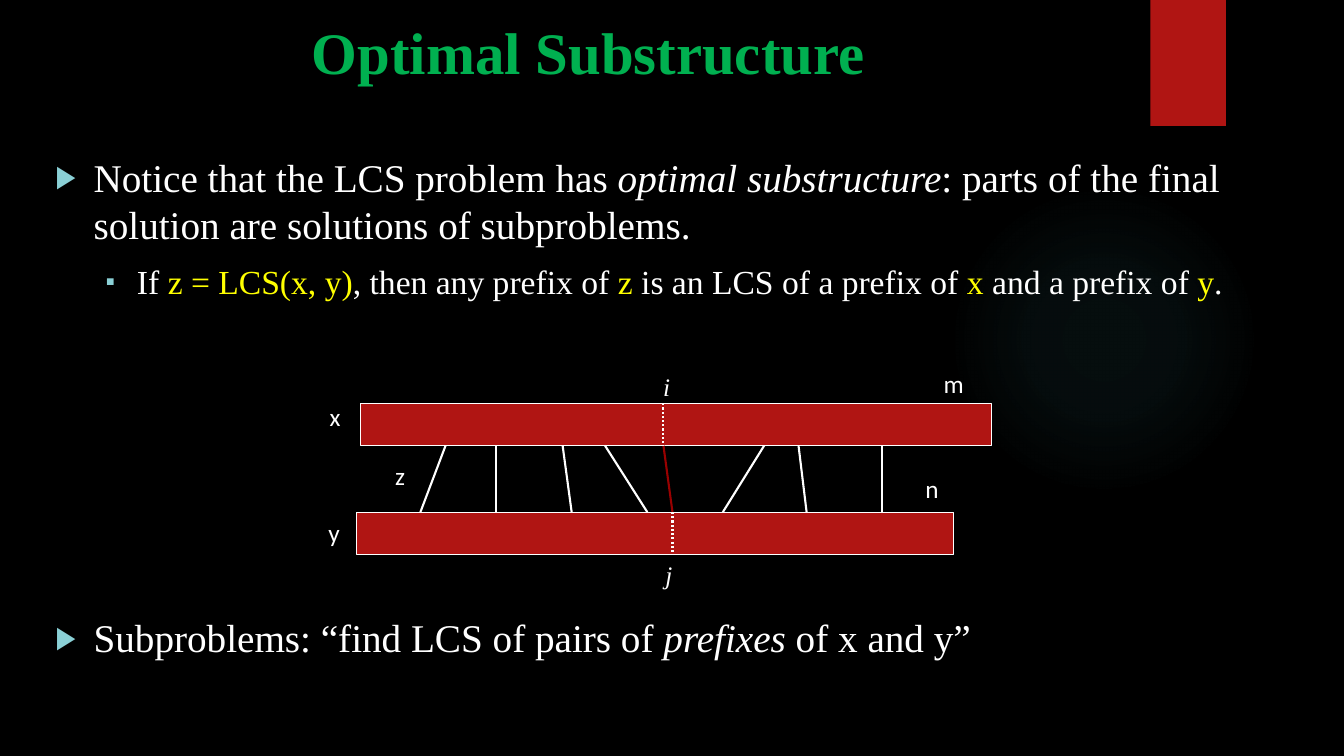
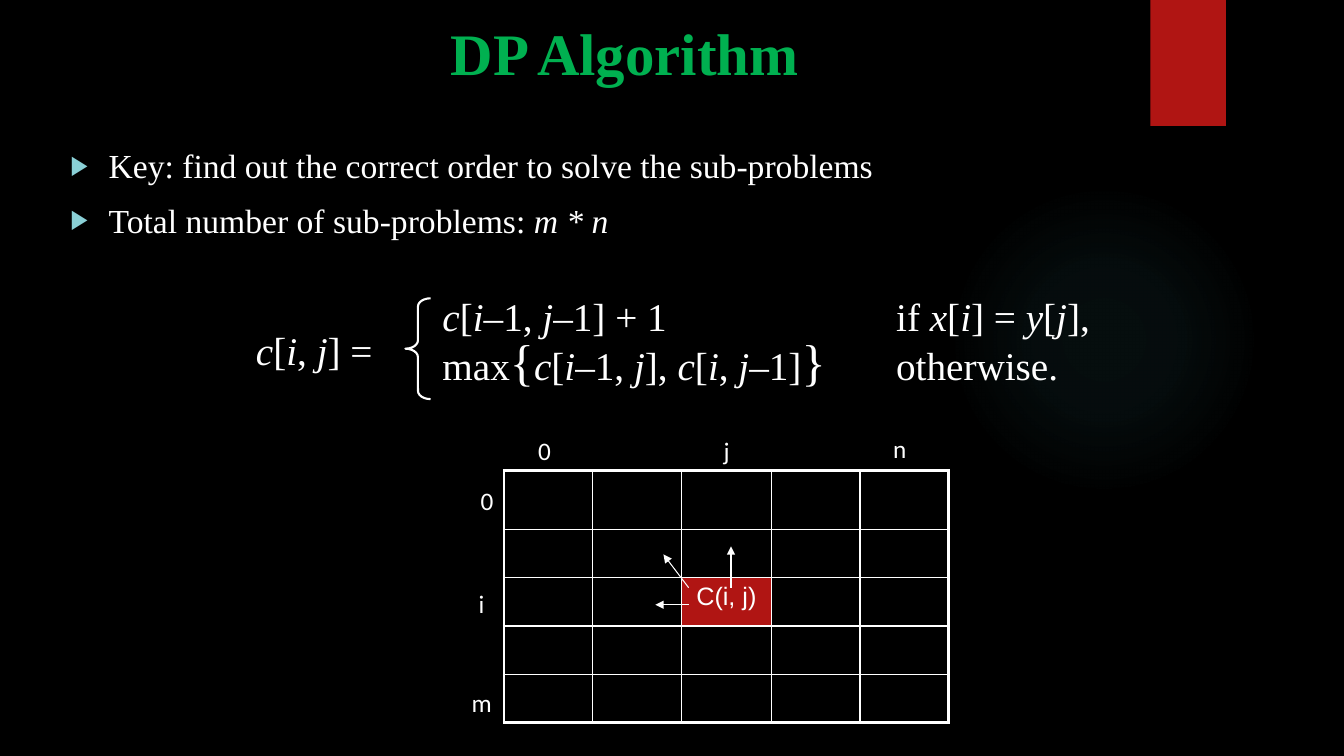
from lxml import etree
from pptx import Presentation
from pptx.dml.color import RGBColor
from pptx.enum import dml, shapes, text
from pptx.oxml import parse_xml
from pptx.oxml.ns import nsdecls, qn
from pptx.util import Inches, Pt

BLACK, WHITE, RED, DARK_RED = "000000", "FFFFFF", "B01513", "990000"
GREEN, YELLOW, BULLET, GLOW = "00B050", "FFFF00", "8AD0D6", "50B9C1"
SERIF, LABEL_FONT, CELL_FONT = "Times New Roman", "Calibri", "Arial"


def rgb(value):
    return RGBColor.from_string(value)


def set_font(font, size, name=SERIF, color=WHITE, bold=False, italic=False):
    font.size, font.name = Pt(size), name
    font.bold, font.italic = bold, italic
    font.color.rgb = rgb(color)


def add_runs(p, marked):
    """Split text into runs: ~yellow~, ^large^ and _italic_."""
    for i, colored in enumerate(marked.split("~")):
        for j, sized in enumerate(colored.split("^")):
            for k, piece in enumerate(sized.split("_")):
                if not piece:
                    continue
                r = p.add_run()
                r.text = piece
                if i % 2:
                    r.font.color.rgb = rgb(YELLOW)
                if j % 2:
                    r.font.size = Pt(36)
                if k % 2:
                    r.font.italic = True


def add_shape(s, kind, x, y, w, h, fill=None, line=None, width=0.75):
    sp = s.shapes.add_shape(kind, Inches(x), Inches(y), Inches(w), Inches(h))
    sp.shadow.inherit = False
    if fill:
        sp.fill.solid()
        sp.fill.fore_color.rgb = rgb(fill)
    else:
        sp.fill.background()
    if line:
        sp.line.color.rgb = rgb(line)
        sp.line.width = Pt(width)
    else:
        sp.line.fill.background()
    return sp


def add_glow(s):
    sp = add_shape(s, shapes.MSO_SHAPE.OVAL, 9.41, 1.83, 3.08, 3.08)
    stops = "".join(
        f'<a:gs pos="{pos * 1000}"><a:srgbClr val="{GLOW}">'
        f'<a:alpha val="{alpha * 1000}"/></a:srgbClr></a:gs>'
        for pos, alpha in ((0, 7), (36, 6), (69, 0)))
    gradient = parse_xml(
        f'<a:gradFill {nsdecls("a")} rotWithShape="1"><a:gsLst>{stops}</a:gsLst>'
        '<a:path path="circle"><a:fillToRect l="50000" t="50000" r="50000" '
        'b="50000"/></a:path></a:gradFill>')
    sp_pr = sp._element.spPr
    sp_pr.replace(sp_pr.find(qn("a:noFill")), gradient)


def add_slide(prs, title, x, y, w, h):
    """Add a slide with the shared glow, red tab and title style."""
    s = prs.slides.add_slide(prs.slide_layouts[5])
    add_glow(s)
    add_shape(s, shapes.MSO_SHAPE.RECTANGLE, 11.41, 0, 0.75, 1.25, RED)
    sp = s.shapes.title
    sp.left, sp.top, sp.width, sp.height = map(Inches, (x, y, w, h))
    tf = sp.text_frame
    tf.text = title
    tf.auto_size = text.MSO_AUTO_SIZE.NONE
    tf.vertical_anchor = text.MSO_ANCHOR.TOP
    p = tf.paragraphs[0]
    p.alignment = text.PP_ALIGN.CENTER
    set_font(p.font, 42, color=GREEN, bold=True)
    return s


def add_textbox(s, x, y, w, h, wrap=False):
    sp = s.shapes.add_textbox(Inches(x), Inches(y), Inches(w), Inches(h))
    tf = sp.text_frame
    tf.word_wrap = wrap
    tf.auto_size = (text.MSO_AUTO_SIZE.NONE if wrap
                    else text.MSO_AUTO_SIZE.SHAPE_TO_FIT_TEXT)
    return tf


def next_paragraph(tf, index):
    return tf.add_paragraph() if index else tf.paragraphs[0]


def add_bullet(p, char, margin, indent):
    p_pr = p._p.get_or_add_pPr()
    p_pr.set("marL", str(Inches(margin)))
    p_pr.set("indent", str(Inches(-indent)))
    color = etree.SubElement(p_pr, qn("a:buClr"))
    etree.SubElement(color, qn("a:srgbClr"), val=BULLET)
    etree.SubElement(p_pr, qn("a:buSzPct"), val="80000")
    etree.SubElement(p_pr, qn("a:buFont"), typeface=CELL_FONT)
    etree.SubElement(p_pr, qn("a:buChar"), char=char)


def add_body(s, x, y, w, h, items):
    """Add bullets given as (level, size, space before, marked text)."""
    tf = add_textbox(s, x, y, w, h, wrap=True)
    for i, (level, size, before, marked) in enumerate(items):
        p = next_paragraph(tf, i)
        p.level = level
        add_bullet(p, *(("▪", 0.81, 0.31) if level else ("▶", 0.38, 0.38)))
        if before:
            p.space_before = Pt(before)
        set_font(p.font, size)
        add_runs(p, marked)


def add_formula(s, x, y, w, h, lines, spacing=None, tab=None):
    tf = add_textbox(s, x, y, w, h)
    for i, marked in enumerate(lines):
        p = next_paragraph(tf, i)
        if tab:
            tabs = etree.SubElement(p._p.get_or_add_pPr(), qn("a:tabLst"))
            etree.SubElement(tabs, qn("a:tab"), pos=str(Inches(tab)), algn="l")
        if spacing:
            p.line_spacing = spacing
        set_font(p.font, 28)
        add_runs(p, marked)


def add_label(s, label, x, y, w, font=LABEL_FONT, italic=False):
    p = add_textbox(s, x, y, w, 0.4).paragraphs[0]
    p.text = label
    set_font(p.font, 18, font, italic=italic)


def add_line(s, x1, y1, x2, y2, color=WHITE, width=1.5, dotted=False, arrow=False):
    c = s.shapes.add_connector(shapes.MSO_CONNECTOR.STRAIGHT,
                               *map(Inches, (x1, y1, x2, y2)))
    c.line.color.rgb = rgb(color)
    c.line.width = Pt(width)
    if dotted:
        c.line.dash_style = dml.MSO_LINE.ROUND_DOT
    sp_pr = c._element.spPr
    if arrow:
        etree.SubElement(sp_pr.find(qn("a:ln")), qn("a:tailEnd"), type="triangle")
    etree.SubElement(sp_pr, qn("a:effectLst"))


def set_borders(cell, widths):
    """Draw white borders; widths are left, right, top, bottom in points."""
    tc_pr = cell._tc.get_or_add_tcPr()
    for i, (side, width) in enumerate(zip("LRTB", widths)):
        tc_pr.insert(i, parse_xml(
            f'<a:ln{side} {nsdecls("a")} w="{Pt(width)}"><a:solidFill>'
            f'<a:srgbClr val="{WHITE}"/></a:solidFill></a:ln{side}>'))


def add_grid(s, x, y, col_widths, row_heights, marked_cell, label):
    rows, cols = len(row_heights), len(col_widths)
    table = s.shapes.add_table(
        rows, cols, Inches(x), Inches(y),
        Inches(sum(col_widths)), Inches(sum(row_heights))).table
    table.first_row = table.horz_banding = False
    for column, width in zip(table.columns, col_widths):
        column.width = Inches(width)
    for row, height in zip(table.rows, row_heights):
        row.height = Inches(height)
    for r in range(rows):
        for c in range(cols):
            cell = table.cell(r, c)
            cell.fill.background()
            edges = (c == 0, c == cols - 1, r == 0, r == rows - 1)
            set_borders(cell, [2.25 if edge else 1 for edge in edges])
    cell = table.cell(*marked_cell)
    cell.fill.solid()
    cell.fill.fore_color.rgb = rgb(RED)
    p = cell.text_frame.paragraphs[0]
    p.text = label
    p.alignment = text.PP_ALIGN.CENTER
    set_font(p.font, 18, CELL_FONT)


def build_substructure(prs):
    s = add_slide(prs, "Optimal Substructure", 0.68, 0.11, 10.31, 1.08)
    add_body(s, 0.45, 1.47, 12.28, 5.67, [
        (0, 28, 0, "Notice that the LCS problem has _optimal substructure_: "
                   "parts of the final solution are solutions of subproblems."),
        (1, 24, 10, "If ~z = LCS(x, y)~, then any prefix of ~z~ is an LCS of "
                    "a prefix of ~x~ and a prefix of ~y~."),
        (0, 28, 223, "Subproblems: “find LCS of pairs of _prefixes_ of x and y”"),
    ])
    x_top, y_top, bar_height = 4, 5.08, 0.42
    x_bottom = x_top + bar_height
    for left, top, width in ((3.58, x_top, 6.25), (3.54, y_top, 5.92)):
        add_shape(s, shapes.MSO_SHAPE.RECTANGLE, left, top, width, bar_height,
                  RED, WHITE)
    i, j = 6.58, 6.67
    matches = ((4.42, 4.17), (4.92, 4.92), (5.58, 5.67), (6, 6.42),
               (7.58, 7.17), (7.92, 8), (8.75, 8.75))
    for upper, lower in matches:
        add_line(s, upper, x_bottom, lower, y_top)
    add_line(s, i, x_bottom, j, y_top, DARK_RED)
    add_line(s, i, x_top, i, x_bottom, dotted=True)
    add_line(s, j, y_top, j, y_top + bar_height, dotted=True)
    for label in (("x", 3.17, 3.93, 0.31), ("y", 3.16, 5.08, 0.33),
                  ("m", 9.26, 3.6, 0.41), ("n", 9.08, 4.65, 0.34),
                  ("z", 3.82, 4.52, 0.3)):
        add_label(s, *label)
    for label in (("i", 6.48, 3.63, 0.27), ("j", 6.5, 5.5, 0.27)):
        add_label(s, *label, font=SERIF, italic=True)


def build_algorithm(prs):
    s = add_slide(prs, "DP Algorithm", 1.08, 0.12, 10.23, 0.8)
    add_body(s, 0.6, 1.39, 11.97, 6.11, [
        (0, 24, 0, "Key: find out the correct order to solve the sub-problems"),
        (0, 24, 10, "Total number of sub-problems:_ m * n_"),
    ])
    add_formula(s, 2.44, 3.19, 1.36, 0.57, ["_c_[_i_, _j_] ="])
    add_formula(s, 4.29, 2.92, 6.63, 1.01, [
        "_c_[_i_–1, _j_–1] + 1\tif _x_[_i_] = _y_[_j_],",
        "max^{^_c_[_i_–1, _j_], _c_[_i_, _j_–1]^}^\totherwise.",
    ], spacing=0.85, tab=4.5)
    brace = add_shape(s, shapes.MSO_SHAPE.LEFT_BRACE, 4.02, 2.96, 0.25, 1,
                      line=WHITE, width=1.5)
    brace.adjustments[0], brace.adjustments[1] = 0.33, 0.5
    add_grid(s, 5, 4.67, [0.88, 0.88, 0.89, 0.88, 0.88], [0.58] + [0.48] * 4,
             (2, 2), "C(i, j)")
    for ends in ((7.25, 5.83, 7.25, 5.42), (6.83, 6, 6.5, 6),
                 (6.83, 5.83, 6.58, 5.5)):
        add_line(s, *ends, width=0.75, arrow=True)
    for label in (("0", 4.67, 4.77, 0.34), ("i", 4.65, 5.79, 0.26),
                  ("m", 4.58, 6.77, 0.41), ("0", 5.24, 4.27, 0.34),
                  ("j", 7.08, 4.27, 0.26), ("n", 8.76, 4.25, 0.34)):
        add_label(s, *label)


def main():
    prs = Presentation()
    prs.slide_width, prs.slide_height = Inches(13.33), Inches(7.5)
    background = prs.slide_master.background.fill
    background.solid()
    background.fore_color.rgb = rgb(BLACK)
    build_substructure(prs)
    build_algorithm(prs)
    prs.save("out.pptx")


if __name__ == "__main__":
    main()
